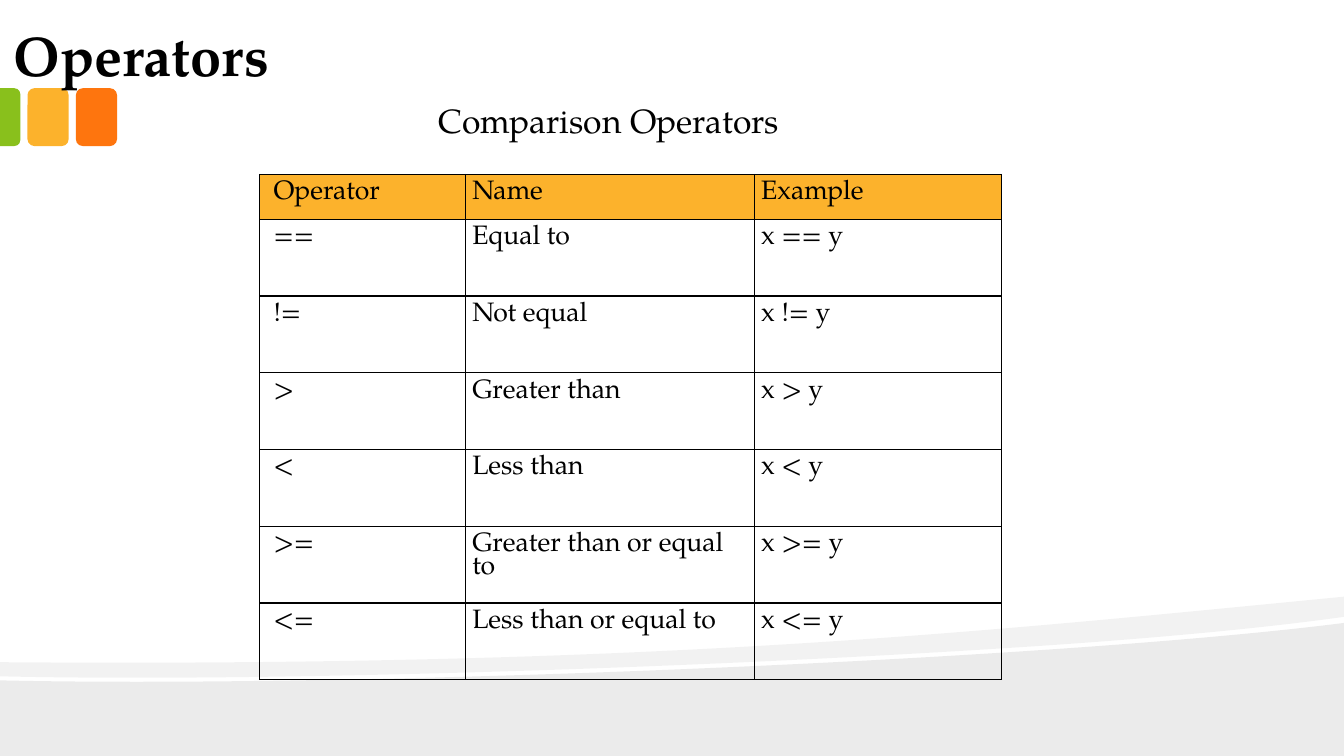
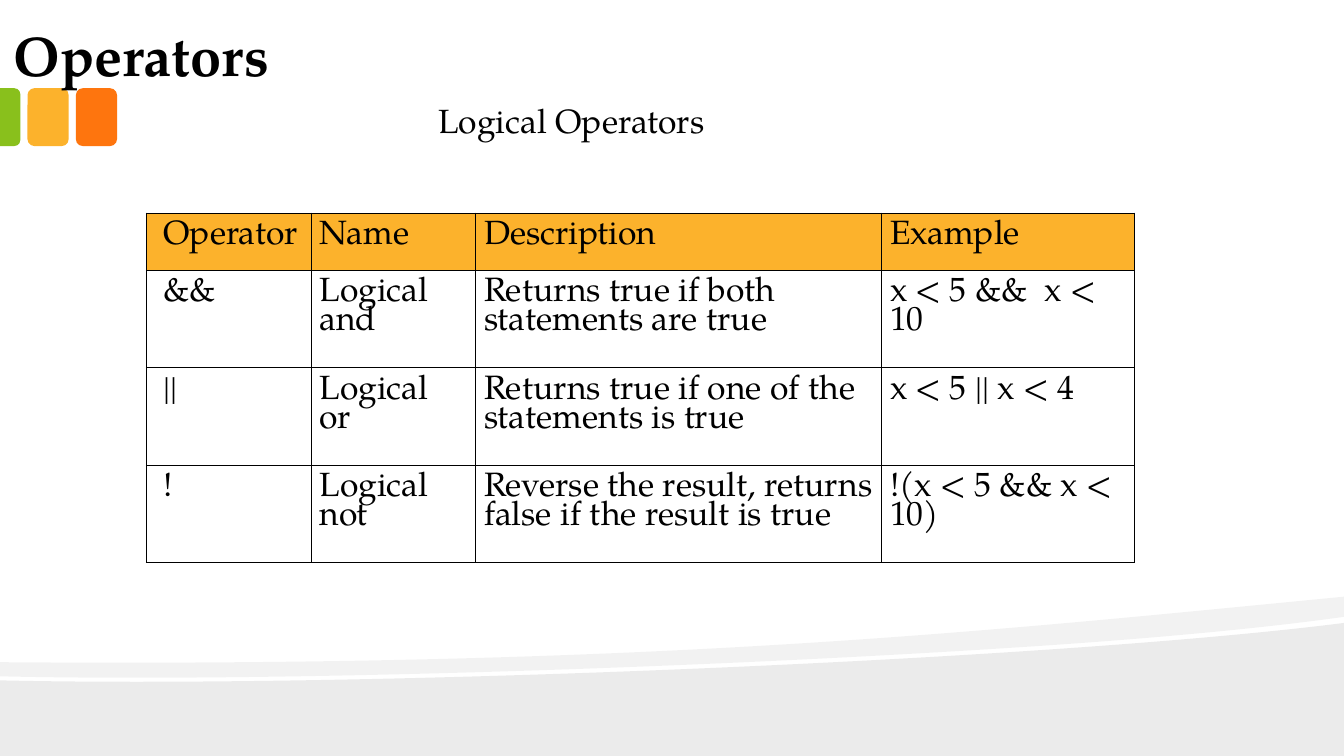
from dataclasses import dataclass

from lxml.etree import SubElement
from pptx import Presentation
from pptx.dml.color import RGBColor
from pptx.enum.shapes import MSO_SHAPE as Preset
from pptx.enum.text import MSO_ANCHOR as Anchor
from pptx.oxml.ns import qn
from pptx.util import Emu, Inches, Pt

# Shared look
WIDTH, HEIGHT = Inches(13.33), Inches(7.5)
FONT = "TeX Gyre Pagella"
BLACK, GREEN, YELLOW, ORANGE = "000000", "89C01C", "FCB22C", "FE750E"
TITLE_FORMAT = {"name": FONT, "size": Pt(40), "bold": True}
CAPTION_FORMAT = {"name": FONT, "size": Pt(24)}
TIGHT_SPACING = 0.86

Point = tuple[float, float]
Curve = tuple[Point, Point, Point, Point]


@dataclass(frozen=True)
class Box:
    """A place on the slide, in percent of its width and height."""
    left: float
    top: float
    width: float
    height: float


@dataclass(frozen=True)
class Wave:
    """An outline of Bezier curves, joined by straight lines."""
    curves: tuple[Curve, ...]
    corners: tuple[Point, ...]
    opacity: int


@dataclass(frozen=True)
class OperatorTable:
    caption: str
    left: float
    top: float
    columns: tuple[float, ...]
    header_height: float
    row_height: float
    inset: float
    size: int
    rows: tuple[tuple[str, ...], ...]


TITLE_BOX = Box(0, 0.13, 76.95, 12.4)
CAPTION_BOX = Box(31.88, 12.53, 50.78, 6.67)
TILE, TILE_PITCH = Box(2.05, 11.67, 3.06, 7.65), 3.6

WAVES = (
    Wave((((0, 90), (26.4, 91.07), (78.15, 87.33), (100, 82.4)),),
         ((100, 100), (0, 100)), 8),
    Wave((((100, 81.6), (94.13, 83.07), (86.18, 84.4), (77.18, 85.47)),
          ((77.18, 85.47), (52.35, 88.4), (19.35, 90.27), (0, 89.47)),
          ((0, 87.6), (48.9, 88.27), (72.83, 83.6), (100, 78.93))), (), 5),
)

TABLES = (
    OperatorTable(
        "Comparison Operators", 19.32, 23.07, (15.3, 21.5, 18.4), 5.95, 10.15, 0.52, 19,
        (("Operator", "Name", "Example"),
         ("==", "Equal to", "x == y"),
         ("!=", "Not equal", "x != y"),
         (">", "Greater than", "x > y"),
         ("<", "Less than", "x < y"),
         (">=", "Greater than or equal to", "x >= y"),
         ("<=", "Less than or equal to", "x <= y"))),
    OperatorTable(
        "Logical Operators", 10.9, 28.2, (12.25, 12.25, 30.2, 18.79), 7.55, 12.89, 0.63, 24,
        (("Operator", "Name", "Description", "Example"),
         ("&&", "Logical and", "Returns true if both statements are true", "x < 5 &&  x < 10"),
         ("||", "Logical or", "Returns true if one of the statements is true", "x < 5 || x < 4"),
         ("!", "Logical not", "Reverse the result, returns false if the result is true",
          "!(x < 5 && x < 10)"))),
)


# Helpers
def across(share: float) -> Emu:
    return Emu(round(WIDTH * share / 100))


def down(share: float) -> Emu:
    return Emu(round(HEIGHT * share / 100))


def place(box: Box) -> tuple[Emu, Emu, Emu, Emu]:
    return across(box.left), down(box.top), across(box.width), down(box.height)


def paint(fill, color: str) -> None:
    fill.solid()
    fill.fore_color.rgb = RGBColor.from_string(color)


def finish(shape, color: str) -> None:
    paint(shape.fill, color)
    shape.line.fill.background()
    shape.shadow.inherit = False


def apply(target, values: dict) -> None:
    for name, value in values.items():
        setattr(target, name, value)


def write(text_frame, text: str, font_format: dict, spacing: float) -> None:
    paragraph = text_frame.paragraphs[0]
    paragraph.line_spacing = spacing
    run = paragraph.add_run()
    run.text = text
    apply(run.font, font_format)
    run.font.color.rgb = RGBColor.from_string(BLACK)


def bend(shape, curve_count: int) -> None:
    """Turn the three lines through each curve's control points into one curve."""
    lines = list(shape._element.iter(qn("a:lnTo")))
    for index in range(curve_count):
        first, *others = lines[4 * index:4 * index + 3]
        first.tag = qn("a:cubicBezTo")
        for line in others:
            first.append(line[0])
            line.getparent().remove(line)


# Background: waves and colour tiles
def add_wave(slide, wave: Wave) -> None:
    shares = [point for curve in wave.curves for point in curve] + list(wave.corners)
    points = [(across(x), down(y)) for x, y in shares]
    builder = slide.shapes.build_freeform(*points[0])
    builder.add_line_segments(points[1:], close=True)
    shape = builder.convert_to_shape()
    bend(shape, len(wave.curves))
    finish(shape, BLACK)
    color = next(shape._element.spPr.iter(qn("a:srgbClr")))
    SubElement(color, qn("a:alpha")).set("val", str(wave.opacity * 1000))


def add_tiles(slide) -> None:
    for index, color in enumerate((YELLOW, ORANGE)):
        box = Box(TILE.left + index * TILE_PITCH, TILE.top, TILE.width, TILE.height)
        finish(slide.shapes.add_shape(Preset.ROUNDED_RECTANGLE, *place(box)), color)
    # The green tile is cut by the slide's edge, so only its right corners are round
    visible = across(TILE.left + TILE.width - TILE_PITCH)
    length = down(TILE.height)
    offset = (length - visible) // 2
    shape = slide.shapes.add_shape(Preset.ROUND_2_SAME_RECTANGLE, -offset,
                                   down(TILE.top) + offset, length, visible)
    shape.rotation = 90
    shape.adjustments[0] = 0.29
    finish(shape, GREEN)


# Text and tables
def add_text(slide, box: Box, text: str, font_format: dict, frame_format: dict,
             spacing: float) -> None:
    text_frame = slide.shapes.add_textbox(*place(box)).text_frame
    apply(text_frame, {"word_wrap": True} | frame_format)
    write(text_frame, text, font_format, spacing)


def add_borders(cell) -> None:
    properties = cell._tc.get_or_add_tcPr()
    for index, side in enumerate(("lnL", "lnR", "lnT", "lnB")):
        line = SubElement(properties, qn(f"a:{side}"), w=str(Pt(1)))
        SubElement(SubElement(line, qn("a:solidFill")), qn("a:srgbClr"), val=BLACK)
        properties.insert(index, line)


def add_table(slide, content: OperatorTable) -> None:
    body_count = len(content.rows) - 1
    box = Box(content.left, content.top, sum(content.columns),
              content.header_height + body_count * content.row_height)
    table = slide.shapes.add_table(len(content.rows), len(content.columns), *place(box)).table
    table.first_row = table.horz_banding = False
    for column, width in zip(table.columns, content.columns):
        column.width = across(width)
    inset = across(content.inset)
    font_format = {"name": FONT, "size": Pt(content.size)}
    for row_index, texts in enumerate(content.rows):
        is_header = row_index == 0
        table.rows[row_index].height = down(
            content.header_height if is_header else content.row_height)
        for column_index, text in enumerate(texts):
            cell = table.cell(row_index, column_index)
            apply(cell, {"margin_left": inset * 2 if column_index == 0 else inset,
                         "margin_right": inset, "margin_top": inset, "margin_bottom": inset})
            if is_header:
                paint(cell.fill, YELLOW)
            else:
                cell.fill.background()
            add_borders(cell)
            write(cell.text_frame, text, font_format, TIGHT_SPACING)


def add_slide(presentation, content: OperatorTable) -> None:
    slide = presentation.slides.add_slide(presentation.slide_layouts[6])
    for wave in WAVES:
        add_wave(slide, wave)
    add_tiles(slide)
    title_frame = {"vertical_anchor": Anchor.BOTTOM,
                   "margin_left": across(1), "margin_right": across(1),
                   "margin_top": across(0.5), "margin_bottom": across(0.5)}
    add_text(slide, TITLE_BOX, "Operators", TITLE_FORMAT, title_frame, TIGHT_SPACING)
    add_text(slide, CAPTION_BOX, content.caption, CAPTION_FORMAT, {}, 1.0)
    add_table(slide, content)


def main() -> None:
    presentation = Presentation()
    apply(presentation, {"slide_width": WIDTH, "slide_height": HEIGHT})
    for content in TABLES:
        add_slide(presentation, content)
    presentation.save("out.pptx")


if __name__ == "__main__":
    main()
